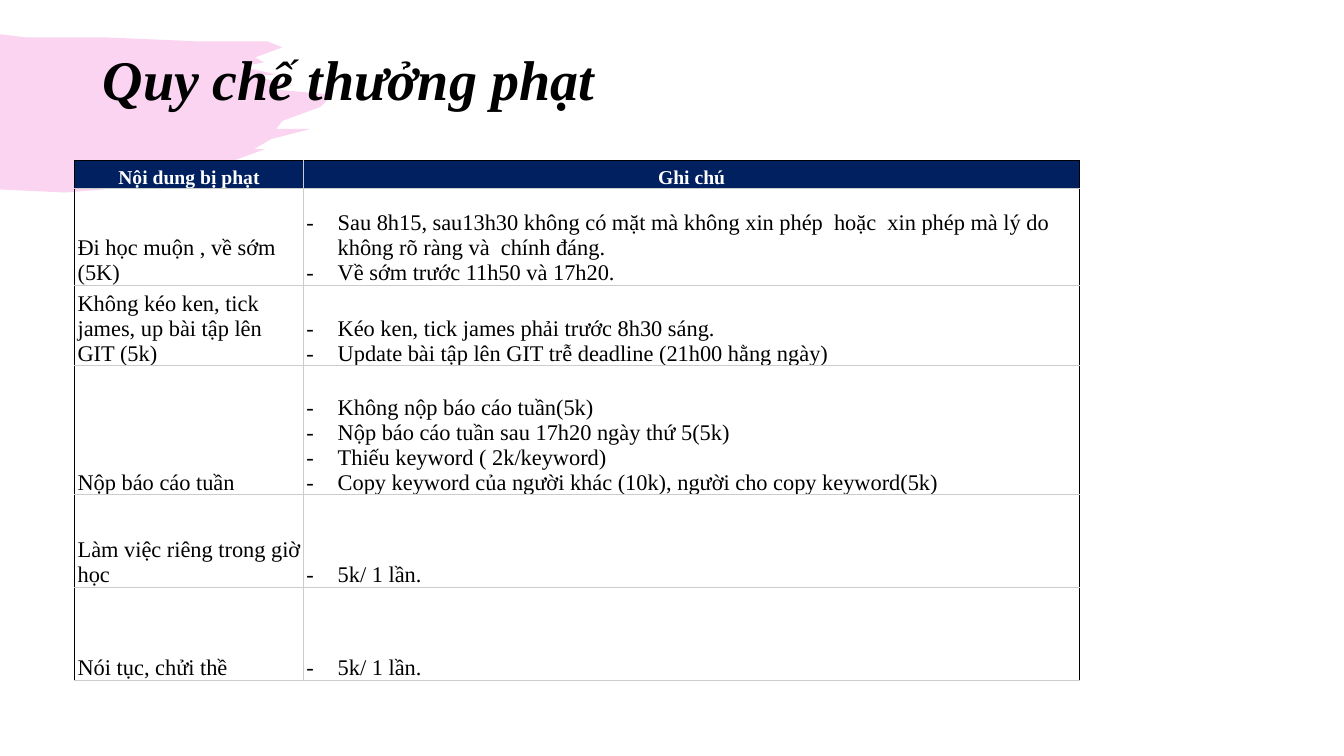
from lxml import etree
from pptx import Presentation
from pptx.dml.color import RGBColor
from pptx.enum.text import MSO_ANCHOR, PP_ALIGN
from pptx.oxml.ns import qn
from pptx.util import Inches, Pt

MIDDLE, BOTTOM = MSO_ANCHOR.MIDDLE, MSO_ANCHOR.BOTTOM
LEFT, CENTER = PP_ALIGN.LEFT, PP_ALIGN.CENTER
FONT = "Times New Roman"
COLORS = {"pink": "E729B5", "navy": "002060", "black": "000000",
          "white": "FFFFFF", "grid": "CCCCCC"}
INDENT = Inches(0.31)


def write(p, text, size=16, color="black", bold=False, italic=False,
          align=LEFT, bullet=False):
    p.alignment = align
    if bullet:
        pPr = p._p.get_or_add_pPr()
        pPr.set("marL", str(INDENT))
        pPr.set("indent", str(-INDENT))
        etree.SubElement(pPr, qn("a:buFont"), typeface=FONT)
        etree.SubElement(pPr, qn("a:buChar"), char="-")
    r = p.add_run()
    r.text = text
    r.font.name = FONT
    r.font.size = Pt(size)
    r.font.bold = bold
    r.font.italic = italic
    r.font.color.rgb = RGBColor.from_string(COLORS[color])


def set_borders(cell, **sides):
    tcPr = cell._tc.get_or_add_tcPr()
    for i, (side, color) in enumerate(sides.items()):
        ln = etree.Element(qn(f"a:ln{side}"), w=str(Pt(0.75)))
        fill = etree.SubElement(ln, qn("a:solidFill"))
        etree.SubElement(fill, qn("a:srgbClr"), val=COLORS[color])
        tcPr.insert(i, ln)


prs = Presentation()
prs.slide_width, prs.slide_height = Inches(13.33), Inches(7.5)
s = prs.slides.add_slide(prs.slide_layouts[6])

brush_edge = [
    (0.25, 0.37), (1.02, 0.37), (1.94, 0.41), (2.65, 0.41), (2.8, 0.47),
    (2.53, 0.57), (2.62, 0.62), (2.38, 0.66), (2.75, 0.74), (2.51, 0.75),
    (2.73, 0.81), (2.9, 0.85), (2.63, 0.88), (3.3, 0.94), (3.18, 1.06),
    (2.8, 1.2), (2.74, 1.28), (3.08, 1.28), (2.69, 1.38), (2.52, 1.48),
    (2.63, 1.48), (1.97, 1.72), (1.02, 1.88), (0.65, 1.91), (0, 1.88),
]
builder = s.shapes.build_freeform(0, Inches(0.34), scale=1.0)
builder.add_line_segments([(Inches(x), Inches(y)) for x, y in brush_edge], close=True)
brush = builder.convert_to_shape()
brush.shadow.inherit = False
brush.line.fill.background()
brush.fill.solid()
brush.fill.fore_color.rgb = RGBColor.from_string(COLORS["pink"])
srgb = brush._element.spPr.find(qn("a:solidFill")).find(qn("a:srgbClr"))
etree.SubElement(srgb, qn("a:alpha"), val="20000")

title = s.shapes.add_textbox(Inches(0.92), Inches(0.09), Inches(11.5), Inches(1.45))
tf = title.text_frame
tf.word_wrap = True
tf.vertical_anchor = MIDDLE
tf.paragraphs[0].line_spacing = 0.9
write(tf.paragraphs[0], "Quy chế thưởng phạt", size=40, bold=True, italic=True)

rows = [
    (0.28, "Nội dung bị phạt", ["Ghi chú"]),
    (0.96, "Đi học muộn , về sớm (5K)", [
        "Sau 8h15, sau13h30 không có mặt mà không xin phép  hoặc  xin phép mà lý do "
        "không rõ ràng và  chính đáng.",
        "Về sớm trước 11h50 và 17h20."]),
    (0.64, "Không kéo ken, tick james, up bài tập lên GIT (5k)", [
        "Kéo ken, tick james phải trước 8h30 sáng.",
        "Update bài tập lên GIT trễ deadline (21h00 hằng ngày)"]),
    (1.28, "Nộp báo cáo tuần", [
        "Không nộp báo cáo tuần(5k)",
        "Nộp báo cáo tuần sau 17h20 ngày thứ 5(5k)",
        "Thiếu keyword ( 2k/keyword)",
        "Copy keyword của người khác (10k), người cho copy keyword(5k)"]),
    (0.92, "Làm việc riêng trong giờ học", ["5k/ 1 lần."]),
    (0.92, "Nói tục, chửi thề", ["5k/ 1 lần."]),
]
table = s.shapes.add_table(len(rows), 2, Inches(0.74), Inches(1.59),
                           Inches(9.97), Inches(5)).table
table.horz_banding = False
table.columns[0].width, table.columns[1].width = Inches(2.27), Inches(7.7)

for i, (height, offence, notes) in enumerate(rows):
    table.rows[i].height = Inches(height)
    header = i == 0
    for j, lines in enumerate(([offence], notes)):
        cell = table.cell(i, j)
        cell.vertical_anchor = BOTTOM
        cell.margin_left = cell.margin_right = Inches(0.01 if header else 0.03)
        cell.margin_top = cell.margin_bottom = 0
        if header:
            cell.fill.solid()
            cell.fill.fore_color.rgb = RGBColor.from_string(COLORS["navy"])
        else:
            cell.fill.background()
        set_borders(cell, L="grid" if j else "black", R="black" if j else "grid",
                    T="black" if header else "grid", B="grid")
        tf = cell.text_frame
        for k, line in enumerate(lines):
            p = tf.add_paragraph() if k else tf.paragraphs[0]
            if header:
                write(p, line, size=14, color="white", bold=True, align=CENTER)
            else:
                write(p, line, bullet=j == 1)

prs.save("out.pptx")
